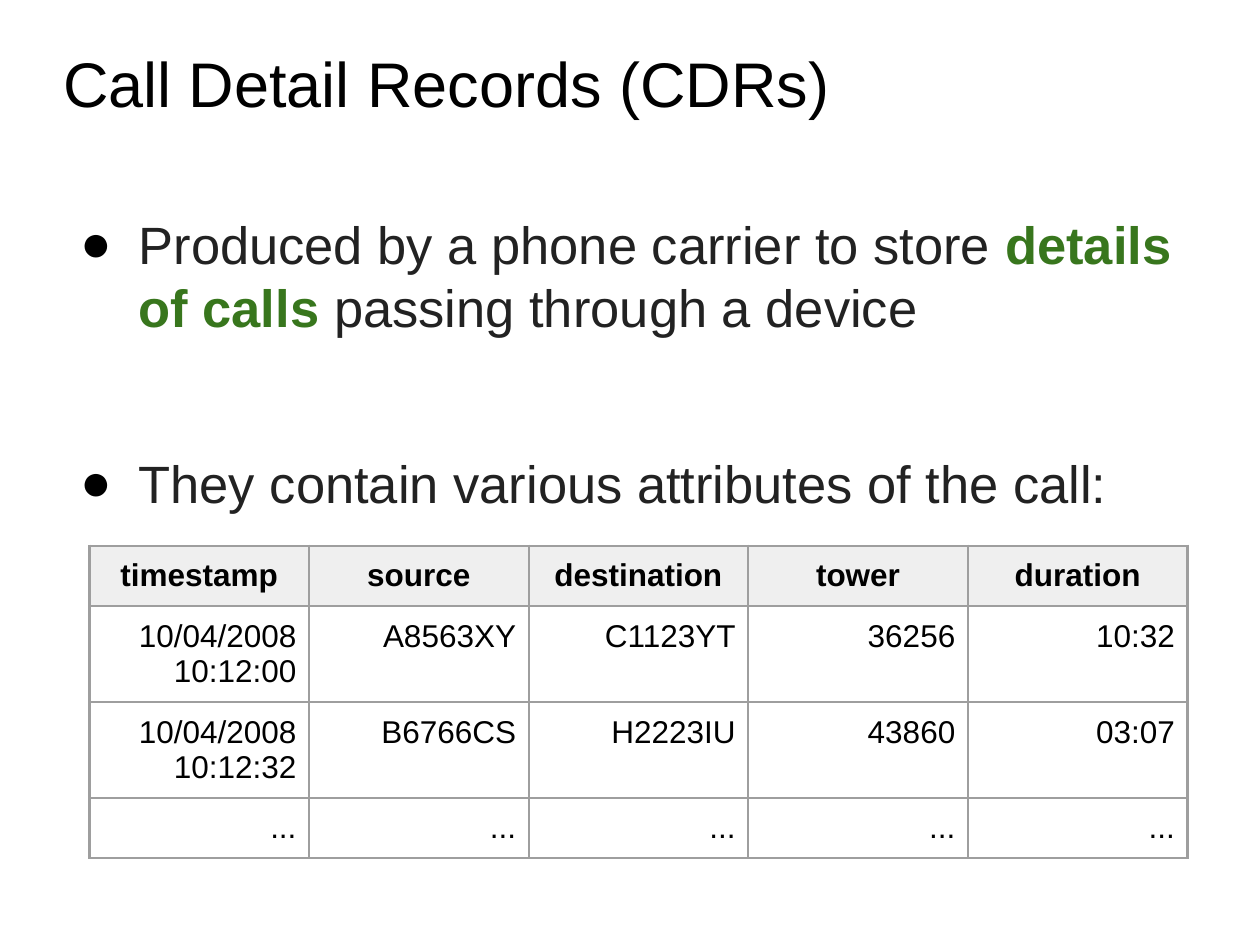
"""Build a slide introducing call detail records with a sample table."""
from dataclasses import dataclass

import pptx
import pptx.dml.color
import pptx.enum.text
import pptx.oxml
import pptx.oxml.ns
import pptx.util

Pt = pptx.util.Pt
RGBColor = pptx.dml.color.RGBColor
Align = pptx.enum.text.PP_ALIGN
Anchor = pptx.enum.text.MSO_ANCHOR

BLACK = RGBColor(0x00, 0x00, 0x00)
BODY_GREY = RGBColor(0x22, 0x22, 0x22)
GREEN = RGBColor(0x38, 0x76, 0x1D)
HEADER_FILL = RGBColor(0xEF, 0xEF, 0xEF)
BORDER_GREY = RGBColor(0x9E, 0x9E, 0x9E)
FONT = "Arial"


@dataclass(frozen=True)
class Phrase:
    text: str
    size: float = 30
    color: RGBColor = BODY_GREY
    bold: bool = False


@dataclass(frozen=True)
class Area:
    left: float
    top: float
    width: float
    height: float
    inset_x: float
    inset_y: float
    anchor: Anchor


TITLE_AREA = Area(36, 13, 648, 67.7, 0, 5, Anchor.MIDDLE)
PURPOSE_AREA = Area(36, 117.4, 658.8, 88.6, 7.2, 3.6, Anchor.TOP)
ATTRIBUTES_AREA = Area(36, 194.4, 658.8, 103, 7.2, 3.6, Anchor.BOTTOM)

PURPOSE = [
    Phrase("Produced by a phone carrier to store "),
    Phrase("details of calls", color=GREEN, bold=True),
    Phrase(" passing through a device"),
]
ATTRIBUTES = [Phrase("They contain various attributes of the call:")]
RECORDS = [
    ["timestamp", "source", "destination", "tower", "duration"],
    ["10/04/2008 10:12:00", "A8563XY", "C1123YT", "36256", "10:32"],
    ["10/04/2008 10:12:32", "B6766CS", "H2223IU", "43860", "03:07"],
    ["..."] * 5,
]


def add_phrases(paragraph, phrases: list[Phrase]) -> None:
    """Append each phrase to the paragraph as its own run."""
    for phrase in phrases:
        run = paragraph.add_run()
        run.text = phrase.text
        run.font.name = FONT
        run.font.size = Pt(phrase.size)
        run.font.bold = phrase.bold
        run.font.color.rgb = phrase.color


def fill_placeholder(placeholder, area: Area, phrases: list[Phrase]):
    """Place and fill a placeholder, returning its paragraph."""
    placeholder.left, placeholder.top = Pt(area.left), Pt(area.top)
    placeholder.width, placeholder.height = Pt(area.width), Pt(area.height)
    frame = placeholder.text_frame
    frame.word_wrap = True
    frame.auto_size = pptx.enum.text.MSO_AUTO_SIZE.NONE
    frame.vertical_anchor = area.anchor
    frame.margin_left = frame.margin_right = Pt(area.inset_x)
    frame.margin_top = frame.margin_bottom = Pt(area.inset_y)
    paragraph = frame.paragraphs[0]
    paragraph.alignment = Align.LEFT
    paragraph.space_before = Pt(0)
    add_phrases(paragraph, phrases)
    return paragraph


def add_bullet(paragraph) -> None:
    """Give the paragraph a hanging black disc."""
    properties = paragraph._p.get_or_add_pPr()
    properties.set("marL", str(Pt(36)))
    properties.set("indent", str(-Pt(33)))
    namespace = pptx.oxml.ns.nsdecls("a")
    for xml in (
        f'<a:buClr {namespace}><a:srgbClr val="{BLACK}"/></a:buClr>',
        f'<a:buFont {namespace} typeface="{FONT}"/>',
        f'<a:buChar {namespace} char="●"/>',
    ):
        properties.append(pptx.oxml.parse_xml(xml))


def add_borders(cell) -> None:
    """Draw a grey line on all four sides of the cell."""
    properties = cell._tc.get_or_add_tcPr()
    namespace = pptx.oxml.ns.nsdecls("a")
    for index, side in enumerate("LRTB"):
        properties.insert(index, pptx.oxml.parse_xml(
            f'<a:ln{side} {namespace} w="{Pt(1.5)}"><a:solidFill>'
            f'<a:srgbClr val="{BORDER_GREY}"/></a:solidFill></a:ln{side}>'
        ))


def add_records(slide, records: list[list[str]]) -> None:
    """Add the table of sample call records."""
    table = slide.shapes.add_table(
        len(records), len(records[0]), Pt(51.1), Pt(311.8), Pt(627.5), Pt(120)
    ).table
    table.first_row = table.horz_banding = False
    for row, record in enumerate(records):
        header = row == 0
        for column, value in enumerate(record):
            cell = table.cell(row, column)
            cell.margin_left = cell.margin_right = Pt(7.2)
            cell.margin_top = cell.margin_bottom = Pt(7.2)
            if header:
                cell.fill.solid()
                cell.fill.fore_color.rgb = HEADER_FILL
            else:
                cell.fill.background()
            add_borders(cell)
            paragraph = cell.text_frame.paragraphs[0]
            paragraph.alignment = Align.CENTER if header else Align.RIGHT
            add_phrases(paragraph, [Phrase(value, 18, BLACK, header)])


def main() -> None:
    """Assemble and save the slide."""
    deck = pptx.Presentation()
    deck.slide_width, deck.slide_height = Pt(720), Pt(540)
    slide = deck.slides.add_slide(deck.slide_layouts.get_by_name("Two Content"))
    title, purpose, attributes = list(slide.placeholders)[:3]
    fill_placeholder(
        title, TITLE_AREA, [Phrase("Call Detail Records (CDRs)", 36, BLACK)]
    )
    add_bullet(fill_placeholder(purpose, PURPOSE_AREA, PURPOSE))
    add_bullet(fill_placeholder(attributes, ATTRIBUTES_AREA, ATTRIBUTES))
    add_records(slide, RECORDS)
    deck.save("out.pptx")


if __name__ == "__main__":
    main()
